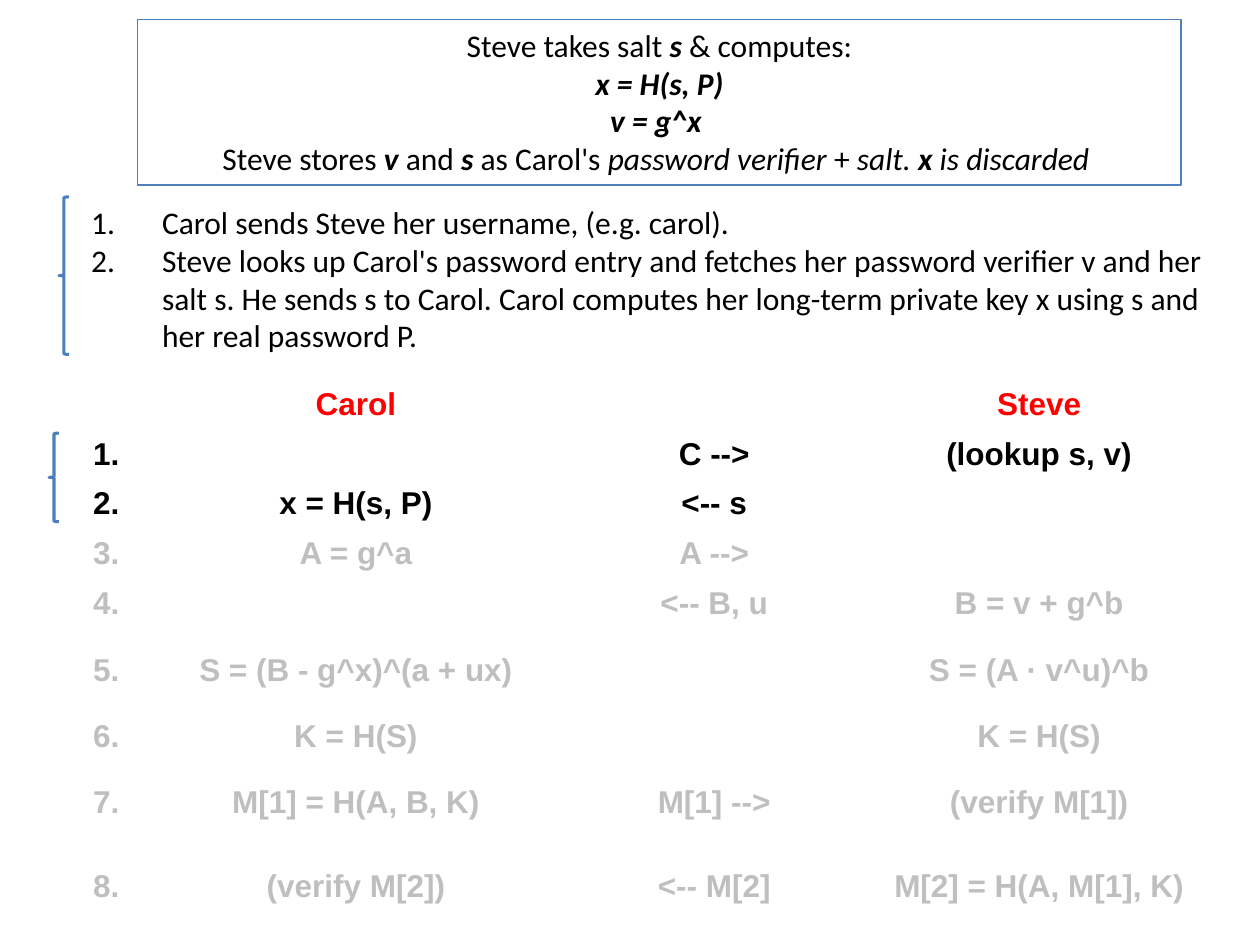
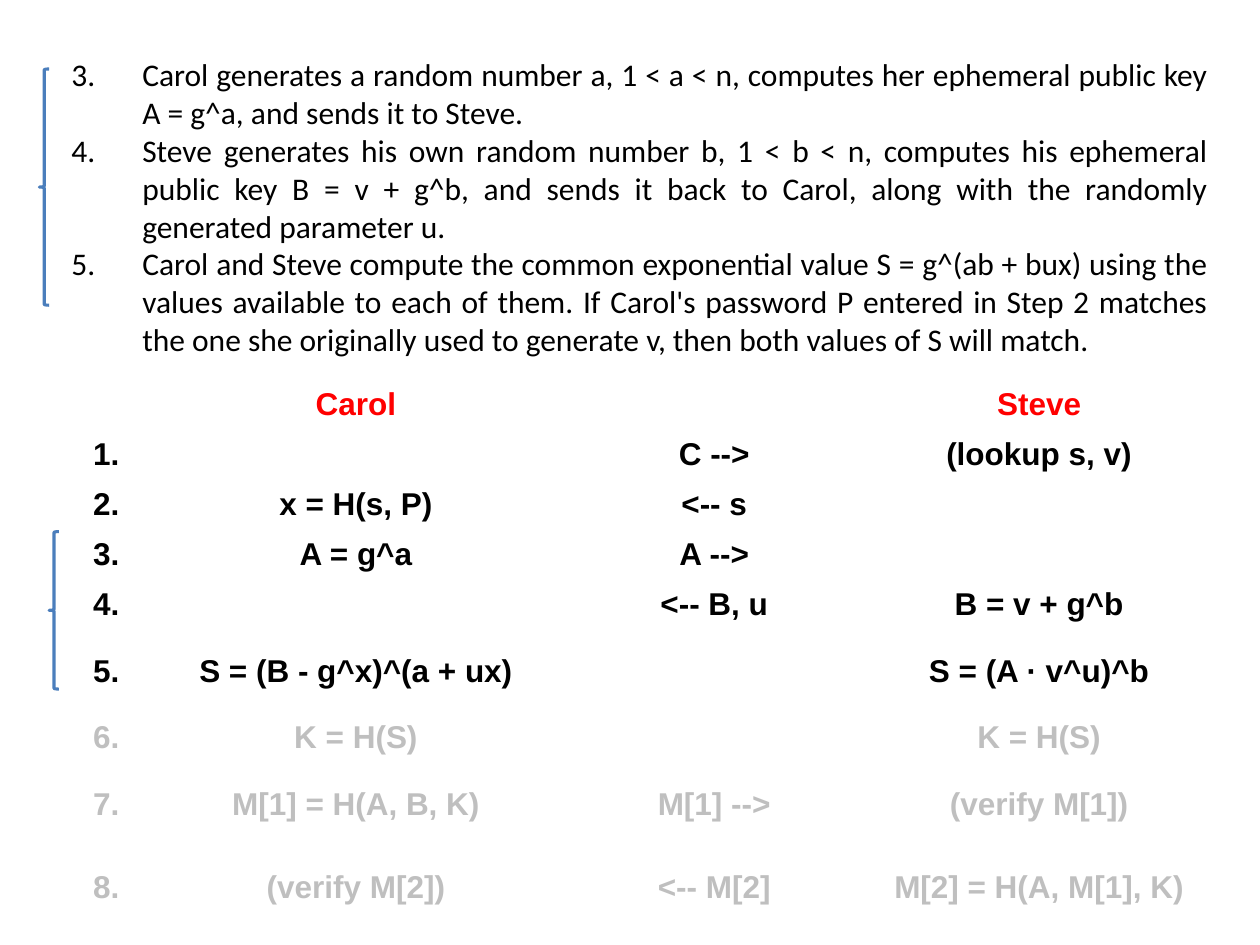
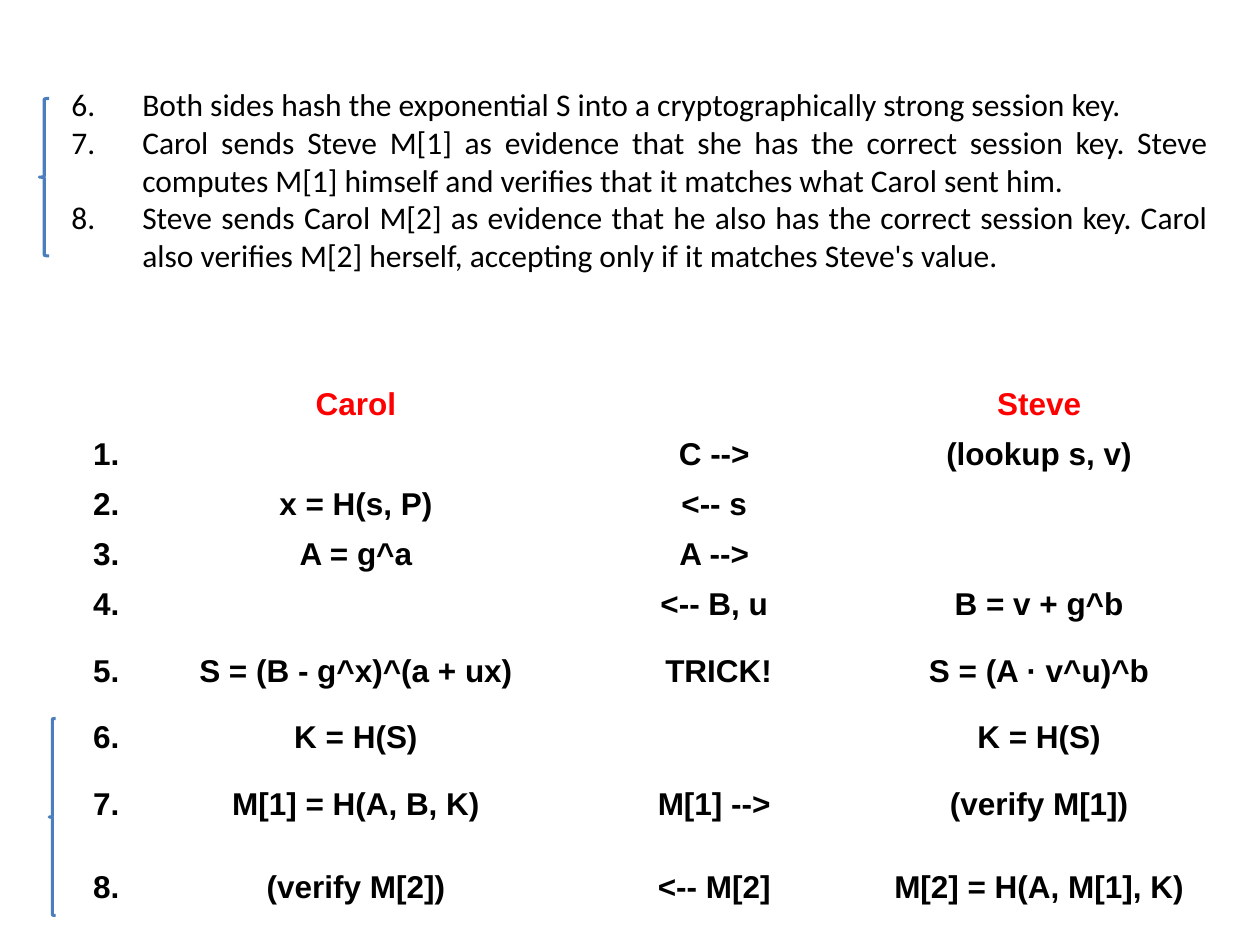
from dataclasses import dataclass

import lxml.etree
import pptx
import pptx.dml.color
import pptx.enum.shapes
import pptx.enum.text
import pptx.oxml.ns
import pptx.util

Pt = pptx.util.Pt
RGBColor = pptx.dml.color.RGBColor
ALIGN = pptx.enum.text.PP_ALIGN
ANCHOR = pptx.enum.text.MSO_ANCHOR
AUTO_SIZE = pptx.enum.text.MSO_AUTO_SIZE
SHAPE = pptx.enum.shapes.MSO_SHAPE

# Shared style
BLACK = RGBColor(0x00, 0x00, 0x00)
RED = RGBColor(0xFF, 0x00, 0x00)
PENDING_GREY = RGBColor(0xBF, 0xBF, 0xBF)
BOX_BLUE = RGBColor(0x4F, 0x81, 0xBD)
BRACE_BLUE = RGBColor(0x4B, 0x7E, 0xBC)
BODY_FONT = "Calibri"
TABLE_FONT = "Arial"
FONT_SIZE = Pt(18)
LIST_INDENT = Pt(40.5)
CONTENT_WIDTH = 663.75

# Protocol table: header row, then one row per step
COLUMN_WIDTHS = (40.5, 252, 157.5, 213.75)
SINGLE_ROW, TALL_ROW = 28.5, 47.5
TALL_STEPS = (5, 7, 8)
TRICK_CELL = (5, 2)
PROTOCOL = (
    ("", "Carol ", "", "Steve "),
    ("1. ", "", "C --> ", "(lookup s, v) "),
    ("2. ", "x = H(s, P) ", "<-- s ", ""),
    ("3. ", "A = g^a ", "A --> ", ""),
    ("4. ", "", "<-- B, u ", "B = v + g^b "),
    ("5. ", "S = (B - g^x)^(a + ux) ", "", "S = (A · v^u)^b "),
    ("6. ", "K = H(S) ", "", "K = H(S) "),
    ("7. ", "M[1] = H(A, B, K) ", "M[1] --> ", "(verify M[1]) "),
    ("8. ", "(verify M[2]) ", "<-- M[2] ", "M[2] = H(A, M[1], K) "),
)


@dataclass(frozen=True)
class Area:
    left: float
    top: float
    width: float
    height: float

    def lengths(self) -> tuple:
        return Pt(self.left), Pt(self.top), Pt(self.width), Pt(self.height)


@dataclass(frozen=True)
class Span:
    text: str
    bold: bool = False
    italic: bool = False


@dataclass(frozen=True)
class StepSlide:
    first_step: int
    steps: tuple[str, ...]
    steps_area: Area
    braces: tuple[Area, ...]
    alignment: ALIGN = ALIGN.JUSTIFY
    setup_area: Area | None = None
    trick: str = ""


LINE_BREAK = Span("\n")
SETUP = (
    (Span("Steve takes salt "), Span("s", True, True), Span(" & computes:")),
    (Span("x = H(s, P)", True, True), LINE_BREAK, Span("v = g^x ", True, True)),
    (
        Span("Steve stores "), Span("v", True, True), Span(" and "),
        Span("s", True, True), Span(" as Carol's "),
        Span("password verifier ", italic=True), Span("+ "),
        Span("salt. ", italic=True), Span("x ", True, True),
        Span("is discarded ", italic=True),
    ),
)

SLIDES = (
    StepSlide(
        1,
        (
            "Carol sends Steve her username, (e.g. carol).",
            "Steve looks up Carol's password entry and fetches her password verifier v and her "
            "salt s. He sends s to Carol. Carol computes her long-term private key x using s and "
            "her real password P.",
        ),
        Area(45, 112.5, CONTENT_WIDTH, 94.5),
        (Area(28.1, 247.5, 5.6, 50.6), Area(33.75, 112.5, 5.6, 90)),
        alignment=ALIGN.LEFT,
        setup_area=Area(78.75, 11.25, 596.25, 94.5),
    ),
    StepSlide(
        3,
        (
            "Carol generates a random number a, 1 < a < n, computes her ephemeral public "
            "key A = g^a, and sends it to Steve.",
            "Steve generates his own random number b, 1 < b < n, computes his ephemeral "
            "public key B = v + g^b, and sends it back to Carol, along with the randomly "
            "generated parameter u.",
            "Carol and Steve compute the common exponential value S = g^(ab + bux) using the "
            "values available to each of them. If Carol's password P entered in Step 2 matches "
            "the one she originally used to generate v, then both values of S will match.",
        ),
        Area(33.75, 28.1, CONTENT_WIDTH, 181.5),
        (Area(22.5, 39.4, 5.6, 135), Area(28.1, 303.75, 5.6, 90)),
    ),
    StepSlide(
        6,
        (
            "Both sides hash the exponential S into a cryptographically strong session key.",
            "Carol sends Steve M[1] as evidence that she has the correct session key. Steve "
            "computes M[1] himself and verifies that it matches what Carol sent him.",
            "Steve sends Carol M[2] as evidence that he also has the correct session key. Carol "
            "also verifies M[2] herself, accepting only if it matches Steve's value.",
        ),
        Area(33.75, 45, CONTENT_WIDTH, 117),
        (Area(22.5, 56.25, 5.6, 90), Area(28.1, 410.6, 3.75, 112.5)),
        trick="TRICK!",
    ),
)


def format_paragraph(paragraph, alignment: ALIGN, font_name: str, color: RGBColor) -> None:
    paragraph.alignment = alignment
    paragraph.font.name = font_name
    paragraph.font.size = FONT_SIZE
    paragraph.font.color.rgb = color


def next_paragraph(text_frame, index: int):
    return text_frame.add_paragraph() if index else text_frame.paragraphs[0]


def add_protocol_table(slide, last_step: int, trick: str) -> None:
    heights = [TALL_ROW if step in TALL_STEPS else SINGLE_ROW for step in range(len(PROTOCOL))]
    area = Area(39.4, 216.75, CONTENT_WIDTH, sum(heights))
    table = slide.shapes.add_table(len(PROTOCOL), len(COLUMN_WIDTHS), *area.lengths()).table
    table.first_row = table.horz_banding = False
    for column, width in zip(table.columns, COLUMN_WIDTHS):
        column.width = Pt(width)
    for step, (row, height, texts) in enumerate(zip(table.rows, heights, PROTOCOL)):
        row.height = Pt(height)
        color = RED if step == 0 else BLACK if step <= last_step else PENDING_GREY
        for position, (cell, text) in enumerate(zip(row.cells, texts)):
            cell.fill.background()
            cell.vertical_anchor = ANCHOR.MIDDLE
            cell.margin_left = cell.margin_right = Pt(6.75)
            cell.margin_top = cell.margin_bottom = Pt(3.5)
            cell.text = trick if (step, position) == TRICK_CELL else text
            paragraph = cell.text_frame.paragraphs[0]
            alignment = ALIGN.CENTER if position else ALIGN.RIGHT
            format_paragraph(paragraph, alignment, TABLE_FONT, color)
            paragraph.font.bold = True


def add_setup_box(slide, area: Area) -> None:
    shape = slide.shapes.add_shape(SHAPE.RECTANGLE, *area.lengths())
    shape.shadow.inherit = False
    shape.fill.background()
    shape.line.color.rgb = BOX_BLUE
    shape.line.width = Pt(0.75)
    text_frame = shape.text_frame
    text_frame.vertical_anchor = ANCHOR.TOP
    text_frame.auto_size = AUTO_SIZE.SHAPE_TO_FIT_TEXT
    for index, spans in enumerate(SETUP):
        paragraph = next_paragraph(text_frame, index)
        format_paragraph(paragraph, ALIGN.CENTER, BODY_FONT, BLACK)
        for span in spans:
            if span is LINE_BREAK:
                paragraph.add_line_break()
                continue
            run = paragraph.add_run()
            run.text = span.text
            run.font.bold = span.bold
            run.font.italic = span.italic


def number_paragraph(paragraph, start: int) -> None:
    properties = paragraph._p.get_or_add_pPr()
    properties.set("marL", str(LIST_INDENT))
    properties.set("indent", str(-LIST_INDENT))
    numbering = lxml.etree.Element(
        pptx.oxml.ns.qn("a:buAutoNum"), type="arabicPeriod", startAt=str(start)
    )
    properties.insert(0, numbering)


def add_steps(slide, content: StepSlide) -> None:
    text_frame = slide.shapes.add_textbox(*content.steps_area.lengths()).text_frame
    text_frame.word_wrap = True
    text_frame.auto_size = AUTO_SIZE.SHAPE_TO_FIT_TEXT
    for index, text in enumerate(content.steps):
        paragraph = next_paragraph(text_frame, index)
        paragraph.text = text
        format_paragraph(paragraph, content.alignment, BODY_FONT, BLACK)
        number_paragraph(paragraph, content.first_step)


def add_brace(slide, area: Area) -> None:
    brace = slide.shapes.add_shape(SHAPE.LEFT_BRACE, *area.lengths())
    brace.shadow.inherit = False
    brace.fill.background()
    brace.line.color.rgb = BRACE_BLUE
    brace.line.width = Pt(1.75)


def main() -> None:
    presentation = pptx.Presentation()
    presentation.slide_width, presentation.slide_height = Pt(720), Pt(540)
    blank_layout = presentation.slide_layouts.get_by_name("Blank")
    for content in SLIDES:
        slide = presentation.slides.add_slide(blank_layout)
        last_step = content.first_step + len(content.steps) - 1
        add_protocol_table(slide, last_step, content.trick)
        if content.setup_area:
            add_setup_box(slide, content.setup_area)
        add_steps(slide, content)
        for area in content.braces:
            add_brace(slide, area)
    presentation.save("out.pptx")


if __name__ == "__main__":
    main()
